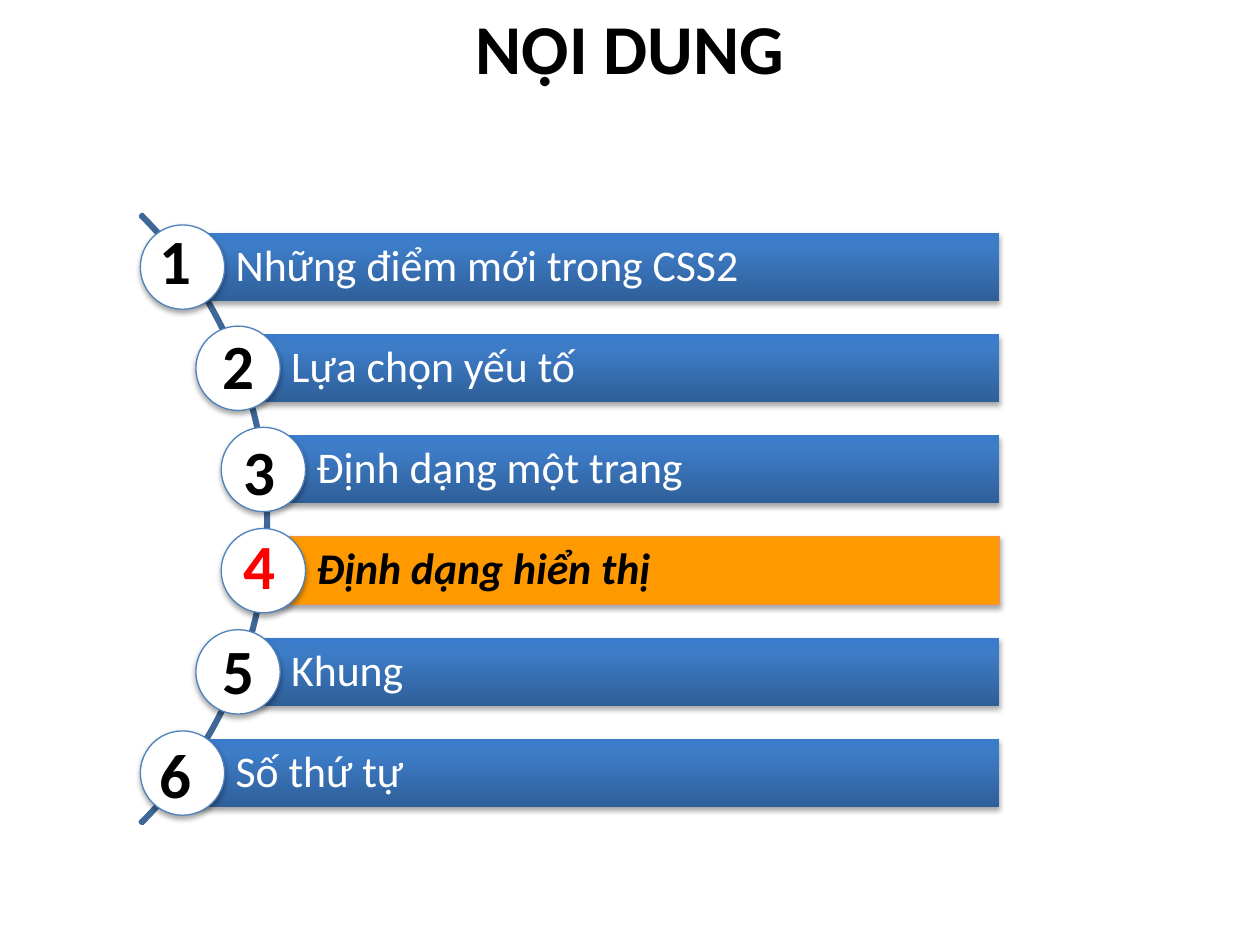
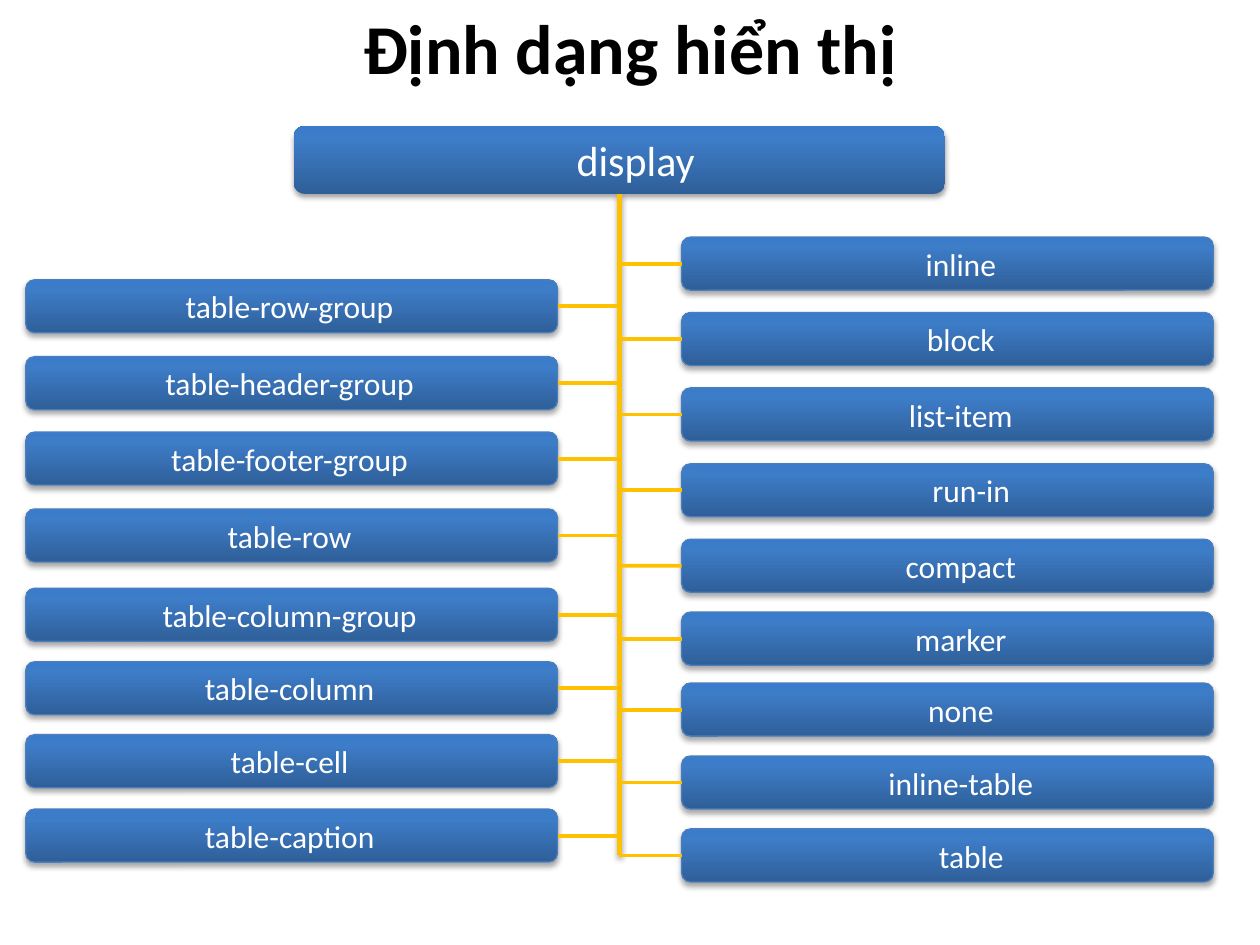
from copy import deepcopy

from lxml.etree import SubElement
from pptx import Presentation
from pptx.dml.color import RGBColor
from pptx.enum.shapes import MSO_CONNECTOR as Connector, MSO_SHAPE as Shape
from pptx.enum.text import MSO_ANCHOR as Anchor, MSO_AUTO_SIZE as AutoSize, PP_ALIGN as Align
from pptx.oxml.ns import qn
from pptx.util import Cm, Pt

# Shared look
FONT = "Calibri"
BLACK, WHITE, RED, ORANGE = "000000", "FFFFFF", "FF0000", "FF9900"
ARC_BLUE, RING_BLUE, EDGE_BLUE = "3F6797", "4F81BD", "4B7EBC"
ORANGE_EDGE, GOLD = "F69240", "FFC000"
BLUE_GRADIENT = [(0, "2F5F99"), (0.8, "3D7CC7"), (1, "3A7CCB")]
TITLE_ONLY = 5

# Agenda (cm): bars shift right towards the middle of the arc
AGENDA = ["Những điểm mới trong CSS2", "Lựa chọn yếu tố", "Định dạng một trang",
          "Định dạng hiển thị", "Khung", "Số thứ tự"]
CURRENT = 3
BAR_LEFTS = [3.68, 4.8, 5.31]
BAR_TOP, BAR_STEP, BAR_HEIGHT, BAR_RIGHT = 4.7, 2.04, 1.37, 20.14
CIRCLE = 1.7
NUMBER_LEFTS = [2.97, 4.24, 4.65]
NUMBER_TOPS = [4.34, 6.45, 8.59, 10.49, 12.6, 14.71]

# Display values (cm): label and top of its box
RIGHT_VALUES = [("inline", 4.78), ("block", 6.3), ("list-item", 7.82),
                ("run-in", 9.35), ("compact", 10.87), ("marker", 12.34),
                ("none", 13.77), ("inline-table", 15.24), ("table", 16.71)]
LEFT_VALUES = [("table-row-group", 5.64), ("table-header-group", 7.19),
               ("table-footer-group", 8.71), ("table-row", 10.26),
               ("table-column-group", 11.86), ("table-column", 13.34),
               ("table-cell", 14.81), ("table-caption", 16.31)]
VALUE_WIDTH, VALUE_HEIGHT = 10.72, 1.07
RIGHT_LEFT, LEFT_LEFT = 13.74, 0.52
LABEL_SHIFTS = {"run-in": 0.48, "table": 0.48}


def color(value):
    return RGBColor.from_string(value)


def set_line(line, value, width):
    if value is None:
        line.fill.background()
    else:
        line.color.rgb = color(value)
        line.width = Pt(width)


def set_gradient(shape, stops):
    shape.fill.gradient()
    shape.fill.gradient_angle = 90
    stop_list = shape._element.spPr.find(qn("a:gradFill")).find(qn("a:gsLst"))
    stop_list.append(deepcopy(stop_list[0]))
    for stop, (position, value) in zip(shape.fill.gradient_stops, stops):
        stop.position = position
        stop.color.rgb = color(value)


def add_shadow(properties):
    """Put a soft shadow below the shape, into its effect list."""
    effects = properties.find(qn("a:effectLst"))
    shadow = SubElement(effects, qn("a:outerShdw"), blurRad="39370", dist="22860",
                        dir="5400000", rotWithShape="0")
    tint = SubElement(shadow, qn("a:srgbClr"), val=BLACK)
    SubElement(tint, qn("a:alpha"), val="35000")


def add_block(page, kind, area, fill, line=None, width=0.75, shadow=True):
    """Add a preset shape; fill is a colour, a list of stops or None."""
    block = page.shapes.add_shape(kind, *map(Cm, area))
    block.shadow.inherit = False
    if fill is None:
        block.fill.background()
    elif isinstance(fill, list):
        set_gradient(block, fill)
    else:
        block.fill.solid()
        block.fill.fore_color.rgb = color(fill)
    set_line(block.line, line, width)
    if shadow:
        add_shadow(block._element.spPr)
    return block


def write(shape, text, value, align=Align.LEFT, frame_format=None, **font_format):
    frame = shape.text_frame
    frame.word_wrap = True
    for name, setting in (frame_format or {}).items():
        setattr(frame, name, setting)
    para = frame.paragraphs[0]
    para.alignment = align
    span = para.add_run()
    span.text = text
    span.font.color.rgb = color(value)
    for name, setting in {"name": FONT, **font_format}.items():
        setattr(span.font, name, setting)
    return para


def add_line(page, start, end, width, shadow=False):
    line = page.shapes.add_connector(Connector.STRAIGHT, *map(Cm, start + end))
    set_line(line.line, GOLD, width)
    SubElement(line._element.spPr, qn("a:effectLst"))
    if shadow:
        add_shadow(line._element.spPr)
    return line


def add_titled_page(deck, text):
    page = deck.slides.add_slide(deck.slide_layouts[TITLE_ONLY])
    title = page.shapes.title
    area = {"left": 0, "top": -0.05, "width": 25.4, "height": 1.96}
    for name, length in area.items():
        setattr(title, name, Cm(length))
    write(title, text, BLACK, Align.CENTER,
          {"auto_size": AutoSize.NONE, "vertical_anchor": Anchor.MIDDLE},
          size=Pt(40), bold=True)
    return page


def add_agenda_row(page, index, text):
    current = index == CURRENT
    level = min(index, len(AGENDA) - 1 - index)
    left, top = BAR_LEFTS[level], BAR_TOP + index * BAR_STEP
    bar = add_block(page, Shape.RECTANGLE, (left, top, BAR_RIGHT - left, BAR_HEIGHT),
                    ORANGE if current else BLUE_GRADIENT,
                    ORANGE_EDGE if current else None)
    insets = {"margin_left": Cm(1.07), "margin_right": Cm(0.18),
              "margin_top": Cm(0.18), "margin_bottom": Cm(0.18),
              "vertical_anchor": Anchor.MIDDLE}
    para = write(bar, text, BLACK if current else WHITE, Align.LEFT, insets,
                 size=Pt(25), bold=current, italic=current)
    para.line_spacing = 0.9

    # Circle centred on the left end of the bar, with its number
    circle_top = top + (BAR_HEIGHT - CIRCLE) / 2
    add_block(page, Shape.OVAL, (left - CIRCLE / 2, circle_top, CIRCLE, CIRCLE),
              WHITE, RING_BLUE)
    number = page.shapes.add_textbox(
        *map(Cm, (NUMBER_LEFTS[level], NUMBER_TOPS[index], 1.27, 1.8)))
    write(number, str(index + 1), RED if current else BLACK, size=Pt(36), bold=True)


def add_label_box(page, text, area, shift, size, line=None):
    """Add a rounded box whose label sits shift cm right of its centre."""
    box = add_block(page, Shape.ROUNDED_RECTANGLE, area, BLUE_GRADIENT, line)
    insets = {"margin_left": Cm(0.25 + 2 * shift), "margin_right": Cm(0.25),
              "margin_top": 0, "margin_bottom": 0, "vertical_anchor": Anchor.MIDDLE}
    write(box, text, WHITE, Align.CENTER, insets, size=Pt(size))
    return box


def add_branch(page, values, left, trunk_x, side, shift):
    """Add a column of boxes, each joined to the trunk at the given side."""
    for text, top in values:
        box = add_label_box(page, text, (left, top, VALUE_WIDTH, VALUE_HEIGHT),
                            LABEL_SHIFTS.get(text, shift), 18, EDGE_BLUE)
        middle = top + VALUE_HEIGHT / 2
        line = add_line(page, (left, middle), (trunk_x, middle), 2.25)
        line.begin_connect(box, side)


def build_agenda(deck):
    page = add_titled_page(deck, "NỘI DUNG")
    arc = add_block(page, Shape.BLOCK_ARC, (-11.96, 1.78, 17.37, 17.37),
                    None, ARC_BLUE, 2, shadow=False)
    for index, value in enumerate((189, 27, 0.003)):
        arc.adjustments[index] = value
    for index, text in enumerate(AGENDA):
        add_agenda_row(page, index, text)


def build_display(deck):
    page = add_titled_page(deck, "Định dạng hiển thị")
    left, top, width, height = header_area = (5.92, 2.54, 13.13, 1.37)
    header = add_label_box(page, "display", header_area, 0.33, 24)

    # Trunk from the header down to the last box
    trunk_x = left + width / 2
    trunk_end = RIGHT_VALUES[-1][1] + VALUE_HEIGHT / 2
    trunk = add_line(page, (trunk_x, top + height), (trunk_x, trunk_end), 3, shadow=True)
    trunk.begin_connect(header, 2)

    add_branch(page, RIGHT_VALUES, RIGHT_LEFT, trunk_x, side=1, shift=0.27)
    add_branch(page, LEFT_VALUES, LEFT_LEFT, trunk_x, side=3, shift=-0.04)


def main():
    deck = Presentation()
    deck.slide_width, deck.slide_height = Cm(25.4), Cm(19.05)
    build_agenda(deck)
    build_display(deck)
    deck.save("out.pptx")


if __name__ == "__main__":
    main()
